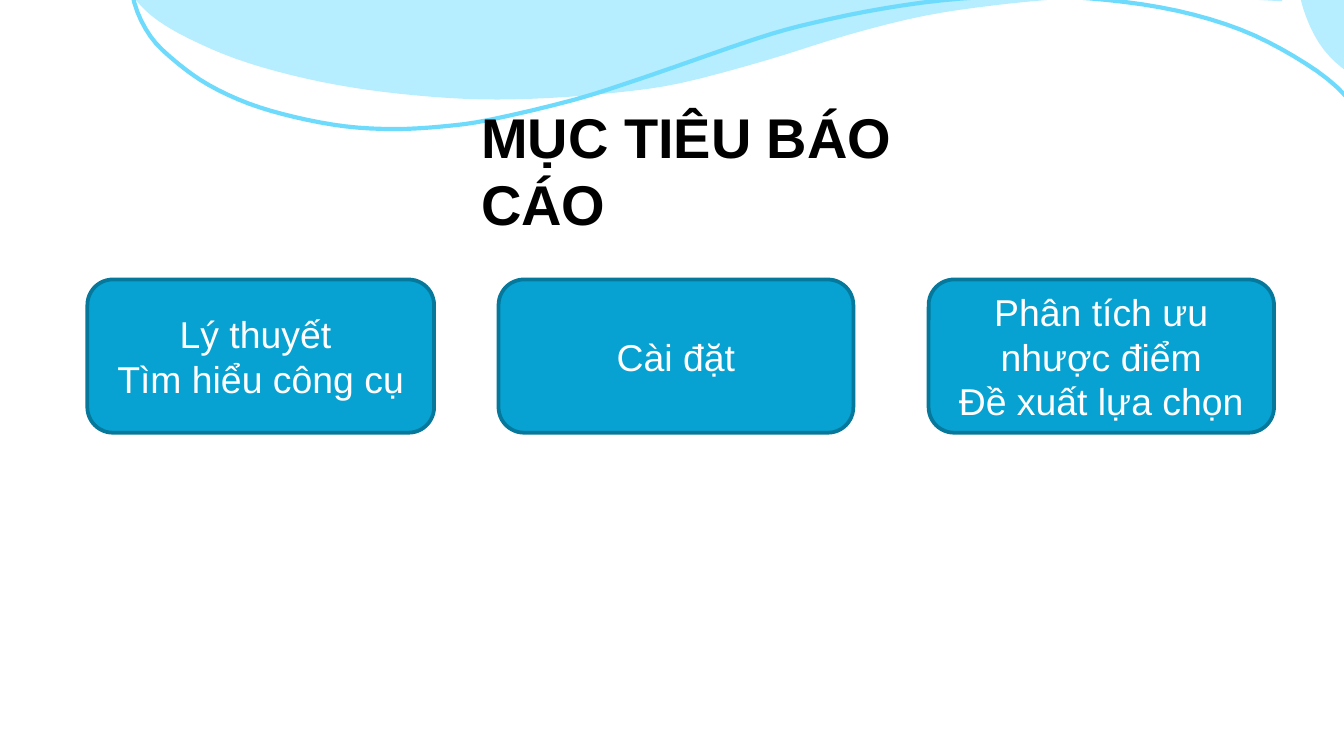
import pptx
import pptx.dml.color
import pptx.enum.shapes
import pptx.enum.text
import pptx.util

Inches = pptx.util.Inches
Pt = pptx.util.Pt
ALIGN = pptx.enum.text.PP_ALIGN
ANCHOR = pptx.enum.text.MSO_ANCHOR

COLOURS = {
    "pale": "B6EEFF",
    "curve": "6EDBFC",
    "card": "07A2D1",
    "card_edge": "05789B",
    "title": "000000",
    "card_text": "FFFFFF",
}

BLOB = [
    (10.89, 0.09), (10.79, -0.18), (10.61, -0.39), (10.38, -0.52),
    (10.11, -0.56), (9.87, -0.51), (9.71, -0.36), (9.66, -0.13),
    (9.72, 0.13), (9.85, 0.37), (10.05, 0.55), (10.3, 0.65),
    (10.57, 0.63), (10.77, 0.52), (10.89, 0.29),
]
WAVE_EDGE = [
    (9.54, 0.01), (8.96, -0.02), (8.5, -0.03), (7.94, -0.01), (7.4, 0.04),
    (6.87, 0.12), (6.31, 0.26), (5.7, 0.45), (5.06, 0.62), (4.58, 0.69),
    (4.08, 0.73), (3.58, 0.74), (3.09, 0.71), (2.61, 0.65), (2.17, 0.56),
    (1.76, 0.44), (1.41, 0.29), (1.17, 0.15), (1.01, 0), (0.83, -0.25),
]
WAVE_TOP = [(0.78, -0.28), (9.7, -0.64), (9.51, -0.53)]
CURVE = [
    (-1.72, -1.46), (-1.13, -1.59), (-0.45, -1.63), (0.18, -1.54),
    (0.7, -1.32), (0.96, -1.02), (1.01, -0.69), (0.97, -0.27), (1, 0.02),
    (1.12, 0.27), (1.31, 0.46), (1.55, 0.63), (1.85, 0.77), (2.19, 0.87),
    (2.57, 0.94), (2.94, 0.96), (3.3, 0.94), (3.65, 0.89), (4.28, 0.74),
    (4.84, 0.56), (5.62, 0.29), (6.05, 0.17), (6.59, 0.06), (7.14, -0.01),
    (7.7, -0.03), (8.24, 0), (8.76, 0.08), (9.23, 0.22), (9.63, 0.42),
    (9.95, 0.65), (10.17, 0.93), (10.28, 1.23), (10.28, 1.38),
]
CARDS = [
    (0.65, 2.58, "Lý thuyết \vTìm hiểu công cụ"),
    (3.71, 2.64, "Cài đặt"),
    (6.91, 2.57, "Phân tích ưu nhược điểm\nĐề xuất lựa chọn"),
]


def colour(name):
    return pptx.dml.color.RGBColor.from_string(COLOURS[name])


def smooth(knots, closed=False, steps=4):
    """Return points on a Catmull-Rom curve through the knots."""
    if closed:
        knots = [knots[-1], *knots, *knots[:2]]
    else:
        knots = [knots[0], *knots, knots[-1]]
    points = []
    for a, b, c, d in zip(knots, knots[1:], knots[2:], knots[3:]):
        for step in range(steps):
            t = step / steps
            points.append(tuple(
                q + t * (r - p) / 2
                + t**2 * (2 * p - 5 * q + 4 * r - s) / 2
                + t**3 * (3 * q - p - 3 * r + s) / 2
                for p, q, r, s in zip(a, b, c, d)
            ))
    return points + [knots[-2]]


def paint(shape, fill=None, line=None, width=0):
    shape.shadow.inherit = False
    if fill:
        shape.fill.solid()
        shape.fill.fore_color.rgb = colour(fill)
    else:
        shape.fill.background()
    if line:
        shape.line.color.rgb = colour(line)
        shape.line.width = Pt(width)
    else:
        shape.line.fill.background()


def add_outline(page, points, closed=True, **style):
    corners = [(Inches(x), Inches(y)) for x, y in points]
    builder = page.shapes.build_freeform(*corners[0])
    builder.add_line_segments(corners[1:], close=closed)
    paint(builder.convert_to_shape(), **style)


def write(shape, text, align, font_colour, frame_format, font_format):
    frame = shape.text_frame
    frame.text = text
    frame.word_wrap = True
    for name, value in frame_format.items():
        setattr(frame, name, value)
    for para in frame.paragraphs:
        para.alignment = align
        for span in para.runs:
            span.font.color.rgb = colour(font_colour)
            for name, value in {"name": "Arial", **font_format}.items():
                setattr(span.font, name, value)


def place_title(page, text):
    title = page.shapes.title
    place = {"left": 3.48, "top": 0.66, "width": 4.21, "height": 0.95}
    for name, value in place.items():
        setattr(title, name, Inches(value))
    margins = {f"margin_{side}": Inches(0.1)
               for side in ("left", "top", "right", "bottom")}
    write(title, text, ALIGN.LEFT, "title",
          {"auto_size": pptx.enum.text.MSO_AUTO_SIZE.NONE,
           "vertical_anchor": ANCHOR.TOP, **margins},
          {"size": Pt(30), "bold": True})
    # Bring the title in front of the decoration
    page.shapes.element.append(title.element)


def add_card(page, left, width, text):
    card = page.shapes.add_shape(
        pptx.enum.shapes.MSO_SHAPE.ROUNDED_RECTANGLE,
        Inches(left), Inches(2.08), Inches(width), Inches(1.14))
    paint(card, "card", "card_edge", 2)
    write(card, text, ALIGN.CENTER, "card_text",
          {"vertical_anchor": ANCHOR.MIDDLE}, {"size": Pt(20)})


def main():
    deck = pptx.Presentation()
    deck.slide_width = Inches(10)
    deck.slide_height = deck.slide_width * 9 // 16
    page = deck.slides.add_slide(deck.slide_layouts[5])
    add_outline(page, smooth(BLOB, closed=True), fill="pale")
    add_outline(page, smooth(WAVE_EDGE) + WAVE_TOP, fill="pale")
    add_outline(page, smooth(CURVE), closed=False, line="curve", width=2.25)
    place_title(page, "MỤC TIÊU BÁO CÁO")
    for left, width, text in CARDS:
        add_card(page, left, width, text)
    deck.save("out.pptx")


if __name__ == "__main__":
    main()
